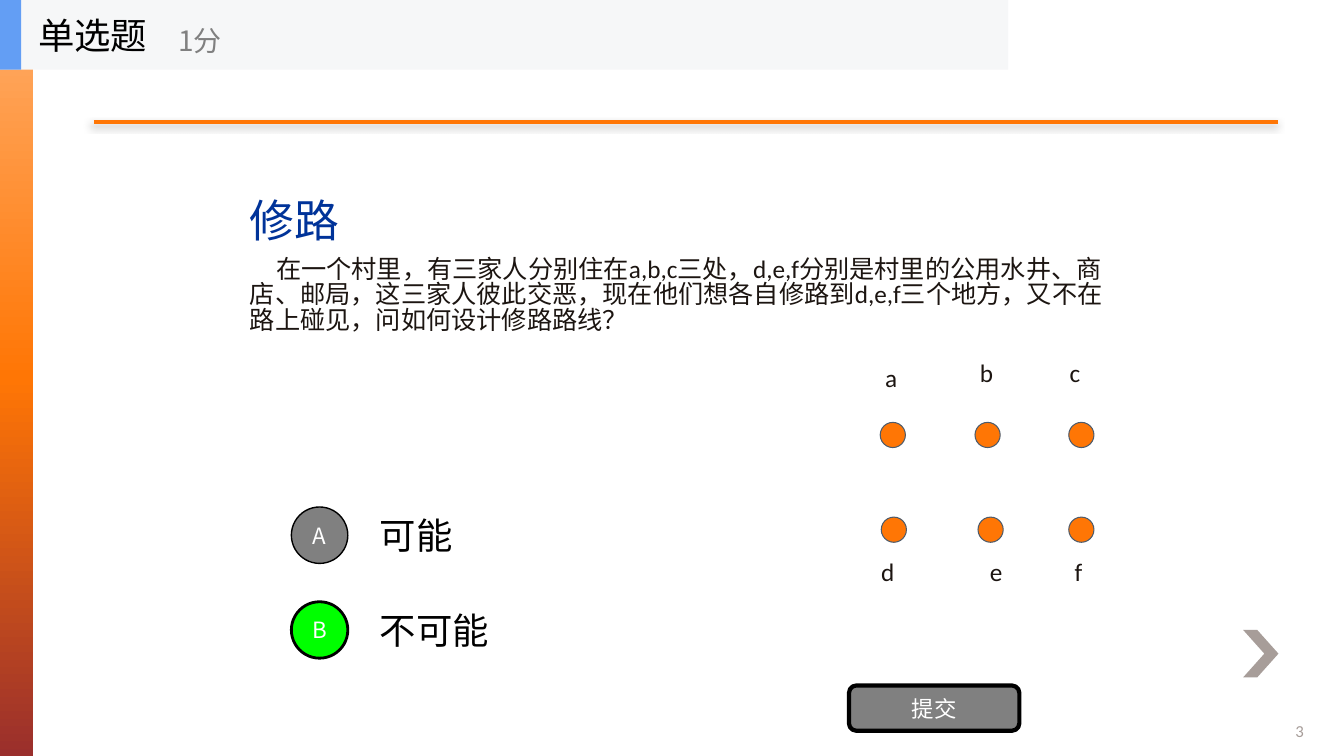
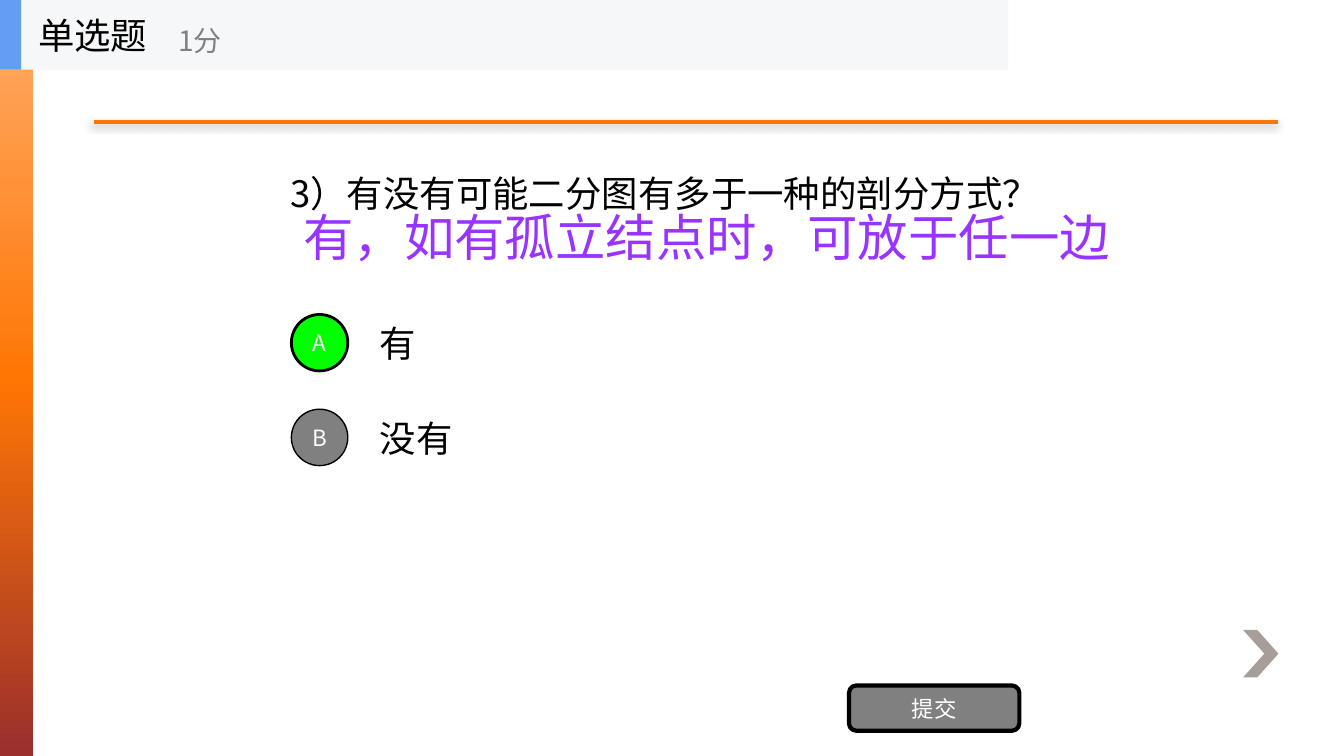
from lxml.etree import SubElement
from pptx import Presentation
from pptx.dml.color import RGBColor
from pptx.enum.shapes import MSO_CONNECTOR, MSO_SHAPE as Shape
from pptx.enum.text import MSO_ANCHOR as Anchor, PP_ALIGN as Align
from pptx.oxml.ns import qn
from pptx.util import Inches, Pt

COLORS = {
    "orange": "FF7605", "peach": "FFAD69", "brick": "9A2F2C", "taupe": "A79D99",
    "heading": "003399", "body": "1C1511", "answer": "9933FF", "outline": "4D5B6B",
    "black": "000000", "white": "FFFFFF", "gray": "808080", "correct": "00FF00",
    "band": "F6F7F8", "accent": "639EF4",
}
CJK, LATIN, HEADING = "Noto Sans CJK SC", "Calibri", "Arial"
WIDTH, HEIGHT = 13.33, 7.5
BAND_HEIGHT = 0.69
OPTION_STEP = 0.94
DOT = 0.25

QUESTION_KIND, SCORE, SUBMIT = "单选题", "1分", "提交"

# Each line: text, size, font, colour, first-line indent (in), space before (pt)
QUESTIONS = [
    {
        "box": (2.38, 1.44, 8.84, 2.43),
        "lines": [
            ("修路", 32, HEADING, "heading", 0, 0),
            ("在一个村里，有三家人分别住在a,b,c三处，d,e,f分别是村里的公用水井、"
             "商店、邮局，这三家人彼此交恶，现在他们想各自修路到d,e,f三个地方，"
             "又不在路上碰见，问如何设计修路路线？", 18, LATIN, "body", 0.26, 8),
        ],
        "options": ["可能", "不可能"], "correct": 1, "options_top": 4.96,
        "page": "3",
        # Name, dot position, label position
        "places": [
            ("a", (8.73, 4.19), (8.68, 3.55)),
            ("b", (9.67, 4.19), (9.62, 3.5)),
            ("c", (10.6, 4.19), (10.51, 3.5)),
            ("d", (8.74, 5.13), (8.64, 5.47)),
            ("e", (9.7, 5.13), (9.72, 5.47)),
            ("f", (10.6, 5.13), (10.56, 5.47)),
        ],
    },
    {
        "box": (2.78, 1.36, 8.86, 1.69),
        "lines": [
            ("3）有没有可能二分图有多于一种的剖分方式？", 26, CJK, "black", 0, 0),
            ("有，如有孤立结点时，可放于任一边", 36, HEADING, "answer", 0.13, 0),
        ],
        "options": ["有", "没有"], "correct": 0, "options_top": 3.05,
    },
]


def rgb(name):
    return RGBColor.from_string(COLORS[name])


def inches(*lengths):
    return [Inches(length) for length in lengths]


def style(paragraph, size, font, color):
    paragraph.font.size = Pt(size)
    paragraph.font.name = font
    paragraph.font.color.rgb = rgb(color)
    defaults = paragraph._p.pPr.find(qn("a:defRPr"))
    SubElement(defaults, qn("a:ea"), typeface=CJK)


def add_text(shapes, box, text, size, font=CJK, color="black", anchor=Anchor.MIDDLE):
    frame = shapes.add_textbox(*inches(*box)).text_frame
    frame.word_wrap = True
    frame.vertical_anchor = anchor
    frame.text = text
    style(frame.paragraphs[0], size, font, color)


def add_block(shapes, kind, box, fill, line=None, line_width=1, label=None):
    block = shapes.add_shape(kind, *inches(*box))
    block.shadow.inherit = False
    block.fill.solid()
    block.fill.fore_color.rgb = rgb(fill)
    if line:
        block.line.color.rgb = rgb(line)
        block.line.width = Pt(line_width)
    else:
        block.line.fill.background()
    if label:
        frame = block.text_frame
        frame.margin_left = frame.margin_right = 0
        frame.vertical_anchor = Anchor.MIDDLE
        frame.text = label
        frame.paragraphs[0].alignment = Align.CENTER
        style(frame.paragraphs[0], 16, CJK, "white")
    return block


def add_side_bar(shapes):
    bar = add_block(shapes, Shape.RECTANGLE, (0, 0, 0.33, HEIGHT), "orange")
    bar.fill.gradient()
    bar.fill.gradient_angle = 270
    stops = bar._element.spPr.find(".//" + qn("a:gsLst"))
    for stop in list(stops):
        stops.remove(stop)
    for percent, color in ((0, "peach"), (50, "orange"), (100, "brick")):
        stop = SubElement(stops, qn("a:gs"), pos=str(percent * 1000))
        SubElement(stop, qn("a:srgbClr"), val=COLORS[color])


def add_rule(shapes):
    rule = shapes.add_connector(MSO_CONNECTOR.STRAIGHT, *inches(0.93, 1.21, 12.68, 1.21))
    rule.line.color.rgb = rgb("orange")
    rule.line.width = Pt(2.5)
    effects = SubElement(rule._element.spPr, qn("a:effectLst"))
    shadow = SubElement(effects, qn("a:outerShdw"), blurRad=str(Pt(5)), dist=str(Pt(3)),
                        dir=str(135 * 60000), rotWithShape="0")
    color = SubElement(shadow, qn("a:srgbClr"), val=COLORS["black"])
    SubElement(color, qn("a:alpha"), val="45000")


def add_chevron(shapes):
    left, top, width, height, arm = 12.33, 6.25, 0.35, 0.47, 0.14
    middle, bottom, right = top + height / 2, top + height, left + width
    start, *corners = [
        inches(*corner) for corner in (
            (left + arm, top), (left, top), (right - arm, middle),
            (left, bottom), (left + arm, bottom), (right, middle))
    ]
    outline = shapes.build_freeform(*start, scale=1.0)
    outline.add_line_segments(corners, close=True)
    chevron = outline.convert_to_shape()
    chevron.shadow.inherit = False
    chevron.fill.solid()
    chevron.fill.fore_color.rgb = rgb("taupe")
    chevron.line.fill.background()


def add_header(shapes):
    header = shapes.add_group_shape().shapes
    add_block(header, Shape.RECTANGLE, (0, 0, 10, BAND_HEIGHT), "band")
    add_block(header, Shape.RECTANGLE, (0, 0, 0.21, BAND_HEIGHT), "accent")
    add_text(header, (0.28, 0, 2.08, BAND_HEIGHT), QUESTION_KIND, 26)
    add_text(header, (1.67, 0.12, 2.5, 0.56), SCORE, 20, color="gray")


def add_question(shapes, box, lines):
    frame = shapes.add_textbox(*inches(*box)).text_frame
    frame.word_wrap = True
    frame.vertical_anchor = Anchor.MIDDLE
    for index, (text, size, font, color, indent, before) in enumerate(lines):
        paragraph = frame.add_paragraph() if index else frame.paragraphs[0]
        paragraph.text = text
        paragraph.line_spacing = 0.85
        if before:
            paragraph.space_before = Pt(before)
        properties = paragraph._p.get_or_add_pPr()
        properties.set("marL", "0")
        properties.set("indent", str(Inches(indent)))
        style(paragraph, size, font, color)


def add_options(shapes, options, correct, top):
    for index, option in enumerate(options):
        row = top + index * OPTION_STEP
        fill, line_width = ("correct", 2) if index == correct else ("gray", 1)
        add_text(shapes, (3.67, row, 7, 0.7), option, 26)
        add_block(shapes, Shape.OVAL, (2.89, row + 0.07, 0.56, 0.56), fill,
                  "black", line_width, "AB"[index])


def add_places(shapes, places):
    for name, dot, label in places:
        add_block(shapes, Shape.OVAL, (*dot, DOT, DOT), "orange", "outline", 0.75)
        add_text(shapes, (*label, 0.34, 0.4), name, 18, LATIN, "body", Anchor.TOP)


def main():
    deck = Presentation()
    deck.slide_width, deck.slide_height = inches(WIDTH, HEIGHT)
    for question in QUESTIONS:
        shapes = deck.slides.add_slide(deck.slide_layouts[6]).shapes
        add_side_bar(shapes)
        add_chevron(shapes)
        add_rule(shapes)
        if "page" in question:
            add_text(shapes, (12.75, 7.05, 0.56, 0.4), question["page"], 12, LATIN, "taupe")
        add_question(shapes, question["box"], question["lines"])
        add_options(shapes, question["options"], question["correct"], question["options_top"])
        add_block(shapes, Shape.ROUNDED_RECTANGLE, (8.42, 6.8, 1.69, 0.45), "gray",
                  "black", 3, SUBMIT)
        add_places(shapes, question.get("places", []))
        add_header(shapes)
    deck.save("out.pptx")


if __name__ == "__main__":
    main()
